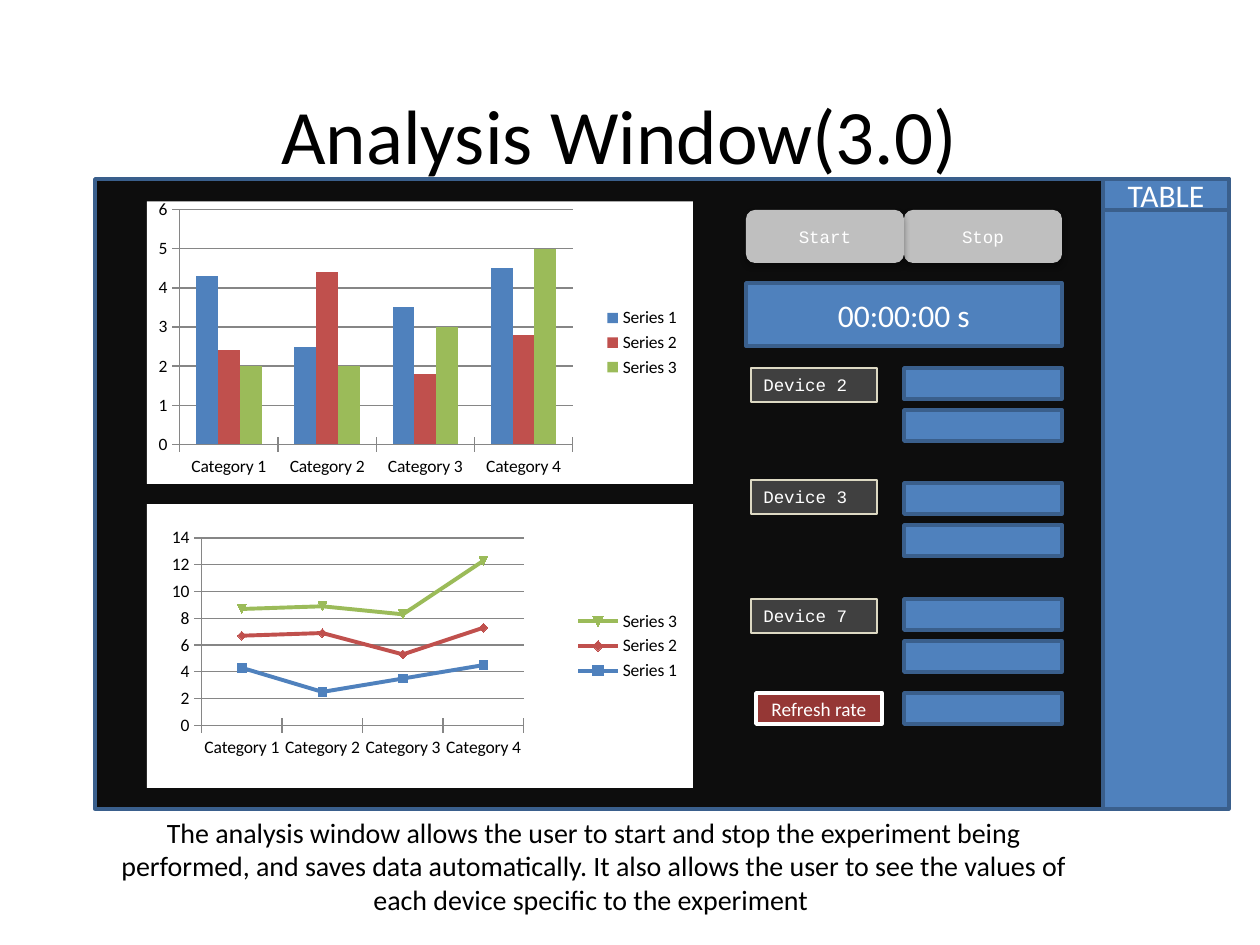
from dataclasses import dataclass
from lxml.etree import SubElement
from pptx import Presentation
from pptx.chart.data import CategoryChartData
from pptx.dml.color import RGBColor
from pptx.enum.chart import XL_CHART_TYPE, XL_LEGEND_POSITION, XL_TICK_MARK
from pptx.enum.shapes import MSO_SHAPE
from pptx.enum.text import MSO_ANCHOR, MSO_AUTO_SIZE, PP_ALIGN
from pptx.oxml import parse_xml
from pptx.oxml.ns import nsdecls, qn
from pptx.util import Emu, Inches, Pt


@dataclass(frozen=True)
class Theme:
    sans: str = "Calibri"
    mono: str = "Courier New"
    ink: str = "000000"
    white: str = "FFFFFF"
    panel: str = "0D0D0D"
    blue: str = "4F81BD"
    edge: str = "3A5F8C"
    button: str = "BFBFBF"
    label: str = "404040"
    cream: str = "DDD9C3"
    red: str = "953735"
    grid: str = "868686"
    series: tuple = ("4F81BD", "C0504D", "9BBB59")
    title: int = 44
    body: int = 16
    large: int = 18
    small: int = 11
    tiny: int = 10


theme = Theme()
CATS = [f"Category {n}" for n in range(1, 5)]
DATA = [(4.3, 2.5, 3.5, 4.5), (2.4, 4.4, 1.8, 2.8), (2, 2, 3, 5)]


def px(count):
    return Emu(round(count * 914400 / 126))


def place(box):
    return [px(side) for side in box]


def rgb(code):
    return RGBColor.from_string(code)


def write(shape, text, size, color, face=theme.sans,
          align=PP_ALIGN.CENTER, anchor=MSO_ANCHOR.MIDDLE):
    frame = shape.text_frame
    frame.word_wrap = True
    frame.vertical_anchor = anchor
    para = frame.paragraphs[0]
    para.text = text
    para.alignment = align
    para.font.name = face
    para.font.size = Pt(size)
    para.font.color.rgb = rgb(color)


def panel(slide, box, fill=theme.blue, line=theme.edge, width=2,
          kind=MSO_SHAPE.RECTANGLE):
    shape = slide.shapes.add_shape(kind, *place(box))
    shape.shadow.inherit = False
    shape.fill.solid()
    shape.fill.fore_color.rgb = rgb(fill)
    if line:
        shape.line.color.rgb = rgb(line)
        shape.line.width = Pt(width)
    else:
        shape.line.fill.background()
    return shape


def prose(slide, box, text, size, anchor):
    write(slide.shapes.add_textbox(*place(box)), text, size, theme.ink, anchor=anchor)


def button(slide, box, text):
    shape = panel(slide, box, theme.button, None, kind=MSO_SHAPE.ROUNDED_RECTANGLE)
    write(shape, text, theme.tiny, theme.white, theme.mono)
    glow = shape._element.spPr.find(qn("a:effectLst"))
    shade = SubElement(glow, qn("a:outerShdw"), blurRad=str(Pt(3.5)),
                       dist=str(Pt(2.2)), dir="5400000", rotWithShape="0")
    tint = SubElement(shade, qn("a:srgbClr"), val=theme.ink)
    SubElement(tint, qn("a:alpha"), val="32000")


def label(slide, box, text):
    shape = panel(slide, box, theme.label, theme.cream, 0.75)
    write(shape, text, theme.tiny, theme.white, theme.mono,
          PP_ALIGN.LEFT, MSO_ANCHOR.TOP)
    shape.text_frame.auto_size = MSO_AUTO_SIZE.SHAPE_TO_FIT_TEXT


def graph(slide, box, kind, layout):
    data = CategoryChartData()
    data.categories = CATS
    for rank, values in enumerate(DATA, 1):
        data.add_series(f"Series {rank}", values)
    chart = slide.shapes.add_chart(kind, *place(box), data).chart
    chart.has_title = False
    chart.font.name = theme.sans
    chart.font.size = Pt(theme.tiny)
    chart.font.color.rgb = rgb(theme.ink)
    chart.has_legend = True
    chart.legend.position = XL_LEGEND_POSITION.RIGHT
    chart.legend.include_in_layout = False

    value = chart.value_axis
    value.has_major_gridlines = True
    for axis in (value, chart.category_axis):
        axis.major_tick_mark = XL_TICK_MARK.CROSS
        axis.format.line.color.rgb = rgb(theme.grid)
    value.major_gridlines.format.line.color.rgb = rgb(theme.grid)

    plot = chart.plots[0]
    plot.vary_by_categories = False
    bars = kind == XL_CHART_TYPE.COLUMN_CLUSTERED
    if bars:
        plot.gap_width = 150
        plot.overlap = 0
    for series, color in zip(plot.series, theme.series):
        if bars:
            series.format.fill.solid()
            series.format.fill.fore_color.rgb = rgb(color)
        else:
            series.smooth = False
            series.format.line.color.rgb = rgb(color)
            series.format.line.width = Pt(2.25)

    root = chart._chartSpace
    body = root.find(qn("c:chart"))
    body.addnext(parse_xml(
        f'<c:spPr {nsdecls("c", "a")}><a:solidFill><a:srgbClr val="{theme.white}"/>'
        '</a:solidFill><a:ln><a:noFill/></a:ln></c:spPr>'))
    area = body.find(qn("c:plotArea"))
    for old in area.findall(qn("c:layout")):
        area.remove(old)
    spots = "".join(f'<c:{name} val="{part}"/>' for name, part in zip("xywh", layout))
    area.insert(0, parse_xml(
        f'<c:layout {nsdecls("c")}><c:manualLayout><c:layoutTarget val="inner"/>'
        f'<c:xMode val="edge"/><c:yMode val="edge"/>{spots}'
        '</c:manualLayout></c:layout>'))


def charts(slide, box):
    left, top, width, height = box
    kinds = [(XL_CHART_TYPE.COLUMN_CLUSTERED, (0.06, 0.03, 0.72, 0.83)),
             (XL_CHART_TYPE.LINE_MARKERS_STACKED, (0.1, 0.12, 0.59, 0.66))]
    gap = 20
    tall = (height - gap) // 2
    for row, (kind, layout) in enumerate(kinds):
        graph(slide, (left, top + row * (tall + gap), width, tall), kind, layout)


def controls(slide, box):
    left, top, width, _ = box
    half = width // 2
    mid = left + half
    for spot, text in ((mid, "Stop"), (left, "Start")):
        button(slide, (spot, top, half, 53), text)
    clock = panel(slide, (left, top + 73, width, 63))
    write(clock, "00:00:00 s", theme.large, theme.white)
    for number, drop, nudge in ((2, 158, 0), (3, 273, -3), (7, 389, 0)):
        label(slide, (left + 5, top + drop + nudge, 126, 34), f"Device {number}")
        for step in (0, 42):
            panel(slide, (mid, top + drop + step, half, 31))
    last = top + 483
    panel(slide, (mid, last, half, 31))
    rate = panel(slide, (left + 10, last, 126, 31), theme.red, theme.white)
    write(rate, "Refresh rate", theme.small, theme.white)


def table(slide, box):
    left, top, width, _ = box
    panel(slide, box)
    head = panel(slide, (left, top, width, 31))
    write(head, "TABLE", theme.large, theme.white)


def window(slide, box):
    left, top, width, height = box
    panel(slide, box, theme.panel)
    charts(slide, (left + 52, top + 21, 546, height - 42))
    controls(slide, (left + 651, top + 31, 316, height - 62))
    table(slide, (left + width, top, 126, height))


deck = Presentation()
deck.slide_width, deck.slide_height = Inches(10), Inches(7.5)
page = deck.slides.add_slide(deck.slide_layouts[6])
window(page, (95, 179, 1008, 630))
prose(page, (84, 32, 1071, 203), "Analysis Window(3.0)", theme.title, MSO_ANCHOR.MIDDLE)
prose(page, (95, 809, 998, 136),
      "The analysis window allows the user to start and stop the experiment being "
      "performed, and saves data automatically. It also allows the user to see the "
      "values of each device specific to the experiment ", theme.body, MSO_ANCHOR.TOP)
deck.save("out.pptx")
